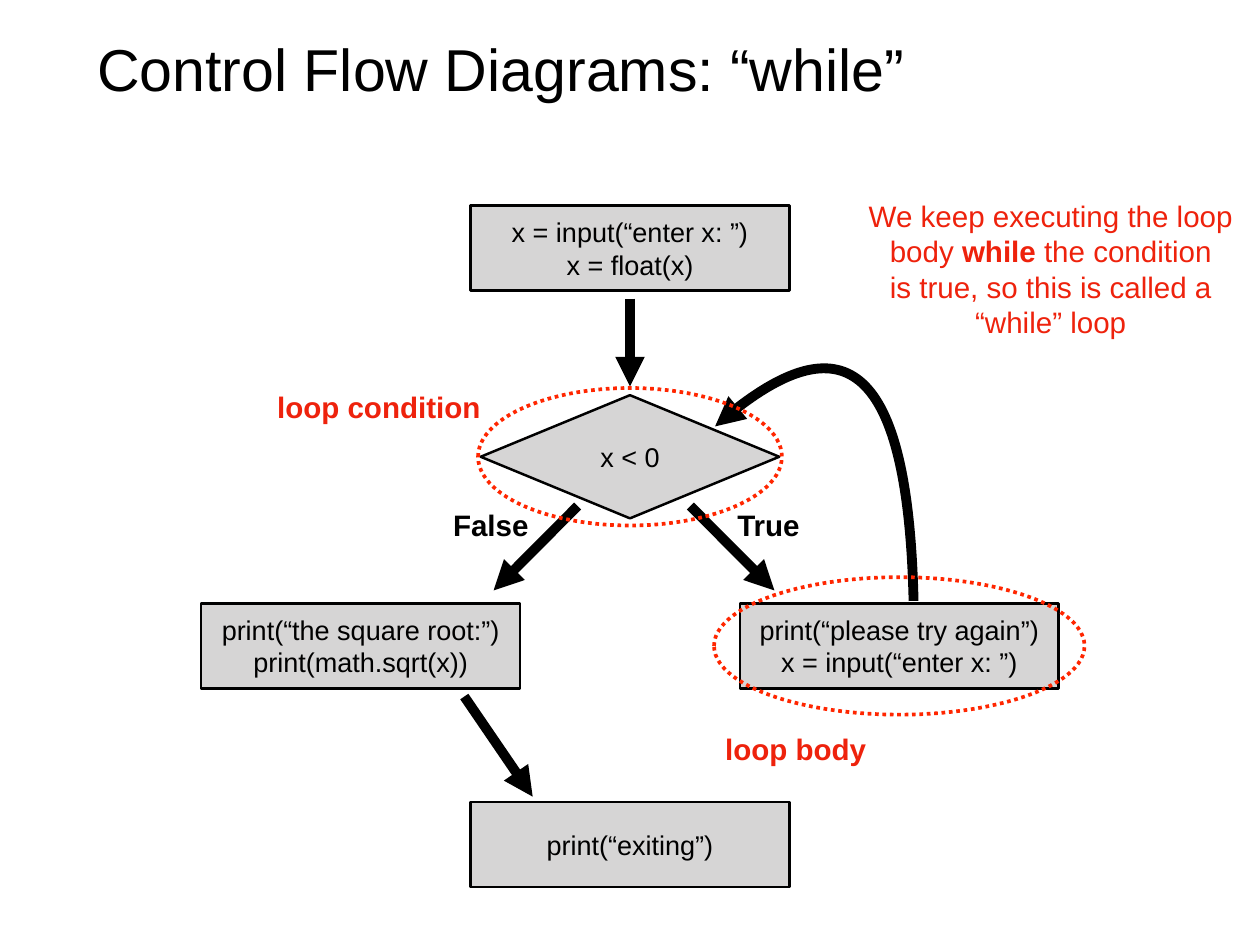
from dataclasses import dataclass
from typing import Any

import lxml.etree
import pptx
import pptx.dml.color
import pptx.enum.dml
import pptx.enum.shapes
import pptx.enum.text
import pptx.oxml.ns
import pptx.util

Cm = pptx.util.Cm
Pt = pptx.util.Pt
Color = pptx.dml.color.RGBColor
Preset = pptx.enum.shapes.MSO_SHAPE
Align = pptx.enum.text.PP_ALIGN
qualified = pptx.oxml.ns.qn
Point = tuple[float, float]


@dataclass(frozen=True)
class Theme:
    font: str = "Arial"
    ink: Color = Color(0, 0, 0)
    node_fill: Color = Color(0xD6, 0xD5, 0xD5)
    accent: Color = Color(0xEE, 0x22, 0x0C)
    ring: Color = Color(0xFF, 0x26, 0x00)
    title_size: int = 48
    label_size: int = 24
    code_size: int = 22
    node_line: float = 2
    ring_line: float = 3
    arrow_line: float = 8
    inset: float = 0.15


@dataclass(frozen=True)
class Area:
    center_x: float
    center_y: float
    width: float
    height: float

    def bounds(self) -> tuple[int, int, int, int]:
        return (Cm(self.center_x - self.width / 2), Cm(self.center_y - self.height / 2),
                Cm(self.width), Cm(self.height))


@dataclass(frozen=True)
class Node:
    text: str
    area: Area
    preset: Any = Preset.RECTANGLE


@dataclass(frozen=True)
class Arrow:
    start: Point
    end: Point


@dataclass(frozen=True)
class Label:
    text: str
    area: Area
    color: Color


THEME = Theme()
MIDDLE, BRANCH = 18.06, 7.72
RIGHT = MIDDLE + BRANCH
INPUT_Y, CONDITION_Y, BODY_Y, EXIT_Y = 7.11, 13.09, 18.51, 24.2
RING_HEIGHT = 3.94


def block(center_x: float, center_y: float) -> Area:
    return Area(center_x, center_y, 9.14, 2.44)


NODES = [
    Node("x = input(“enter x: ”)\nx = float(x)", block(MIDDLE, INPUT_Y)),
    Node("x < 0", Area(MIDDLE, CONDITION_Y, 8.56, 3.53), Preset.DIAMOND),
    Node("print(“the square root:”)\nprint(math.sqrt(x))", block(MIDDLE - BRANCH, BODY_Y)),
    Node("print(“please try again”)\nx = input(“enter x: ”)", block(RIGHT, BODY_Y)),
    Node("print(“exiting”)", block(MIDDLE, EXIT_Y)),
]
ARROWS = [
    Arrow((MIDDLE, 8.56), (MIDDLE, 11.07)),
    Arrow((19.79, 14.5), (22.2, 16.92)),
    Arrow((16.56, 14.5), (14.15, 16.92)),
    Arrow((13.31, 19.96), (15.27, 22.83)),
]
LOOP_BACK = [(26.19, 17.22), (26.04, 10.67), (24.13, 8.99), (20.5, 12.22)]
RINGS = [
    Area(MIDDLE, CONDITION_Y, 8.71, RING_HEIGHT),
    Area(RIGHT, BODY_Y, 10.62, RING_HEIGHT),
]
LABELS = [
    Label("True", Area(22.03, 15.05, 2.3, 1.3), THEME.ink),
    Label("False", Area(14.07, 15.05, 2.6, 1.3), THEME.ink),
    Label("loop body", Area(22.81, 21.45, 4.6, 1.3), THEME.accent),
    Label("loop condition", Area(10.86, 11.65, 6.4, 1.3), THEME.accent),
]
NOTE = ("We keep executing the loop body **while** the condition\v"
        "is true, so this is called a “while” loop")


def write(box: Any, text: str, *, size: int, color: Color = THEME.ink, bold: bool = False,
          align: Any = Align.CENTER, wrap: bool = True) -> None:
    frame = box.text_frame
    frame.word_wrap = wrap
    if not wrap:
        frame.auto_size = pptx.enum.text.MSO_AUTO_SIZE.SHAPE_TO_FIT_TEXT
    frame.vertical_anchor = pptx.enum.text.MSO_ANCHOR.MIDDLE
    frame.margin_left = frame.margin_right = Cm(THEME.inset)
    frame.margin_top = frame.margin_bottom = Cm(THEME.inset)
    for row, line in enumerate(text.split("\n")):
        para = frame.add_paragraph() if row else frame.paragraphs[0]
        para.alignment = align
        for part, words in enumerate(line.split("**")):
            for piece, content in enumerate(words.split("\v")):
                if piece:
                    para.add_line_break()
                span = para.add_run()
                span.text = content
                span.font.name = THEME.font
                span.font.size = Pt(size)
                span.font.color.rgb = color
                span.font.bold = bold or part % 2 == 1


def add_text(page: Any, text: str, area: Area, **style: Any) -> None:
    write(page.shapes.add_textbox(*area.bounds()), text, **style)


def stroke(shape: Any, color: Color, width: float) -> None:
    shape.line.color.rgb = color
    shape.line.width = Pt(width)


def add_outline(page: Any, preset: Any, area: Area, color: Color, width: float) -> Any:
    shape = page.shapes.add_shape(preset, *area.bounds())
    shape.shadow.inherit = False
    stroke(shape, color, width)
    return shape


def add_node(page: Any, node: Node) -> None:
    shape = add_outline(page, node.preset, node.area, THEME.ink, THEME.node_line)
    shape.fill.solid()
    shape.fill.fore_color.rgb = THEME.node_fill
    write(shape, node.text, size=THEME.code_size)


def add_ring(page: Any, area: Area) -> None:
    ring = add_outline(page, Preset.OVAL, area, THEME.ring, THEME.ring_line)
    ring.fill.background()
    ring.line.dash_style = pptx.enum.dml.MSO_LINE.ROUND_DOT


def point_arrow(shape: Any) -> None:
    stroke(shape, THEME.ink, THEME.arrow_line)
    properties = shape.element.spPr
    line = properties.find(qualified("a:ln"))
    lxml.etree.SubElement(line, qualified("a:tailEnd"), type="triangle")
    lxml.etree.SubElement(properties, qualified("a:effectLst"))


def add_arrow(page: Any, arrow: Arrow) -> None:
    ends = [Cm(length) for length in (*arrow.start, *arrow.end)]
    point_arrow(page.shapes.add_connector(pptx.enum.shapes.MSO_CONNECTOR.STRAIGHT, *ends))


def add_curved_arrow(page: Any, points: list[Point]) -> None:
    start, *controls = [(Cm(x), Cm(y)) for x, y in points]
    builder = page.shapes.build_freeform(*start)
    builder.add_line_segments(controls, close=False)
    shape = builder.convert_to_shape()
    shape.fill.background()
    outline = next(shape.element.iter(qualified("a:path")))
    curve = lxml.etree.SubElement(outline, qualified("a:cubicBezTo"))
    for segment in outline.findall(qualified("a:lnTo")):
        curve.append(segment[0])
        outline.remove(segment)
    point_arrow(shape)


def main() -> None:
    deck = pptx.Presentation()
    deck.slide_width, deck.slide_height = Cm(36.12), Cm(27.08)
    page = deck.slides.add_slide(deck.slide_layouts[6])
    add_text(page, "Control Flow Diagrams: “while”", Area(MIDDLE, 1.95, 30.84, 2.51),
             size=THEME.title_size, align=Align.LEFT)
    for node in NODES:
        add_node(page, node)
    for arrow in ARROWS:
        add_arrow(page, arrow)
    add_curved_arrow(page, LOOP_BACK)
    for ring in RINGS:
        add_ring(page, ring)
    for label in LABELS:
        add_text(page, label.text, label.area, size=THEME.label_size,
                 color=label.color, bold=True, wrap=False)
    add_text(page, NOTE, Area(30.12, 7.7, 10.97, 4.34),
             size=THEME.label_size, color=THEME.accent)
    deck.save("out.pptx")


main()
